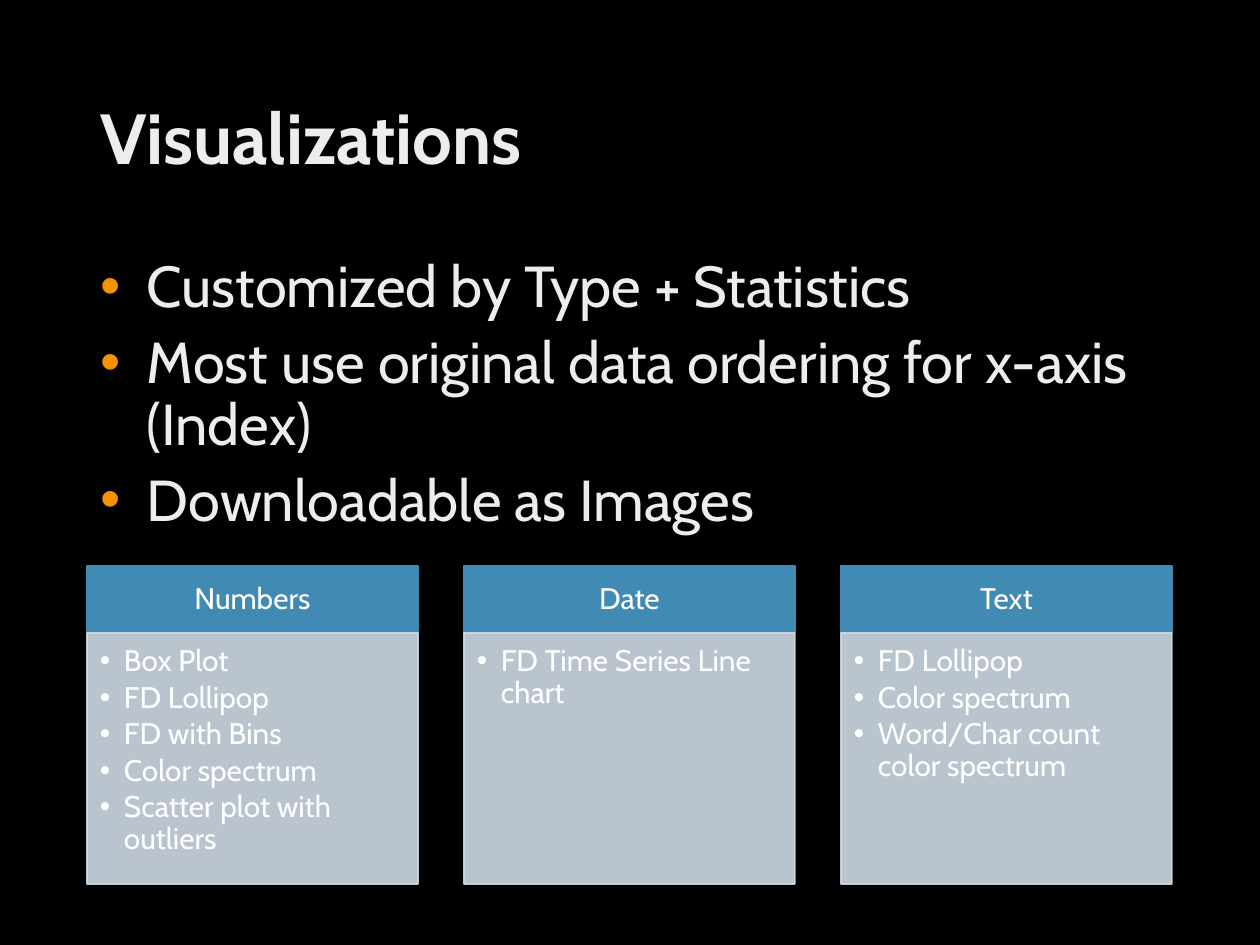
from lxml.etree import SubElement
from pptx import Presentation
from pptx.dml.color import RGBColor
from pptx.enum.shapes import MSO_SHAPE as Shape
from pptx.enum.text import MSO_ANCHOR as Anchor, MSO_AUTO_SIZE as AutoSize, PP_ALIGN as Align
from pptx.oxml.ns import qn
from pptx.util import Pt

PX = 914400 // 126
COLORS = {
    "background": "000000",
    "text": "EDEDED",
    "bullet": "F69200",
    "header": "418AB3",
    "panel": "CFDAE5",
    "label": "FFFFFF",
}
COLORS = {name: RGBColor.from_string(value) for name, value in COLORS.items()}

TITLE = "Visualizations"
POINTS = [
    "Customized by Type + Statistics",
    "Most use original data ordering for x-axis (Index)",
    "Downloadable as Images",
]
CHARTS_BY_TYPE = {
    "Numbers": ["Box Plot", "FD Lollipop", "FD with Bins", "Color spectrum",
                "Scatter plot with outliers"],
    "Date": ["FD Time Series Line chart"],
    "Text": ["FD Lollipop", "Color spectrum", "Word/Char count color spectrum"],
}

LEFT, WIDTH = 87, 1086
COLUMN_WIDTH = 331
COLUMN_STEP = (WIDTH - COLUMN_WIDTH) // (len(CHARTS_BY_TYPE) - 1)
HEADER_TOP, HEADER_HEIGHT = 566, 67
PANEL_TOP, PANEL_HEIGHT = HEADER_TOP + HEADER_HEIGHT, 251


def write_lines(box, lines, size, color, anchor, align=Align.LEFT, margins=(13, 6, 13, 6),
                before=0, after=0, bold=False, indent=0, bullet_color=None):
    """Fill a shape with one paragraph per line; an indent adds bullets.

    Margins are left, top, right, bottom in px; spacing and size are in points.
    """
    frame = box.text_frame
    frame.text = "\n".join(lines)
    left, top, right, bottom = (margin * PX for margin in margins)
    frame_format = {
        "word_wrap": True, "auto_size": AutoSize.NONE, "vertical_anchor": anchor,
        "margin_left": left, "margin_top": top,
        "margin_right": right, "margin_bottom": bottom,
    }
    for name, value in frame_format.items():
        setattr(frame, name, value)
    para_format = {"alignment": align, "line_spacing": 0.9,
                   "space_before": Pt(before), "space_after": Pt(after)}
    font_format = {"name": "Cabin", "size": Pt(size), "bold": bold}
    for para in frame.paragraphs:
        for name, value in para_format.items():
            setattr(para, name, value)
        for span in para.runs:
            for name, value in font_format.items():
                setattr(span.font, name, value)
            span.font.color.rgb = COLORS[color]
        if indent:
            props = para._p.get_or_add_pPr()
            props.set("marL", str(indent * PX))
            props.set("indent", str(-indent * PX))
            bullet_fill = SubElement(props, qn("a:buClr"))
            SubElement(bullet_fill, qn("a:srgbClr"), val=str(COLORS[bullet_color]))
            SubElement(props, qn("a:buFont"), typeface="Arial")
            SubElement(props, qn("a:buChar"), char="•")


def add_block(page, left, top, height, color, opacity=100):
    """Add one column-wide rectangle whose fill and line share a colour."""
    block = page.shapes.add_shape(
        Shape.RECTANGLE, left * PX, top * PX, COLUMN_WIDTH * PX, height * PX)
    block.shadow.inherit = False
    block.line.width = Pt(1)
    block.fill.solid()
    block.line.fill.solid()
    for fill in (block.fill, block.line.fill):
        fill.fore_color.rgb = COLORS[color]
    if opacity < 100:
        for tint in block._element.spPr.iter(qn("a:srgbClr")):
            SubElement(tint, qn("a:alpha"), val=str(opacity * 1000))
    return block


deck = Presentation()
deck.slide_width, deck.slide_height = 1260 * PX, 945 * PX
page = deck.slides.add_slide(deck.slide_layouts[1])
page.background.fill.solid()
page.background.fill.fore_color.rgb = COLORS["background"]

title, body = page.shapes.title, page.placeholders[1]
for box, top, height in ((title, 50, 183), (body, 252, 302)):
    box.left, box.top, box.width, box.height = (n * PX for n in (LEFT, top, WIDTH, height))
write_lines(title, [TITLE], 40.5, "text", Anchor.MIDDLE, bold=True)
write_lines(body, POINTS, 33, "text", Anchor.TOP, before=7.5,
            indent=47, bullet_color="bullet")

for column, (data_type, charts) in enumerate(CHARTS_BY_TYPE.items()):
    left = LEFT + column * COLUMN_STEP
    header = add_block(page, left, HEADER_TOP, HEADER_HEIGHT, "header")
    write_lines(header, [data_type], 17, "label", Anchor.MIDDLE, Align.CENTER,
                margins=(17, 10, 17, 10))
    panel = add_block(page, left, PANEL_TOP, PANEL_HEIGHT, "panel", opacity=90)
    write_lines(panel, charts, 17, "label", Anchor.TOP, margins=(13, 13, 17, 19),
                after=2.5, indent=24, bullet_color="label")

deck.save("out.pptx")
